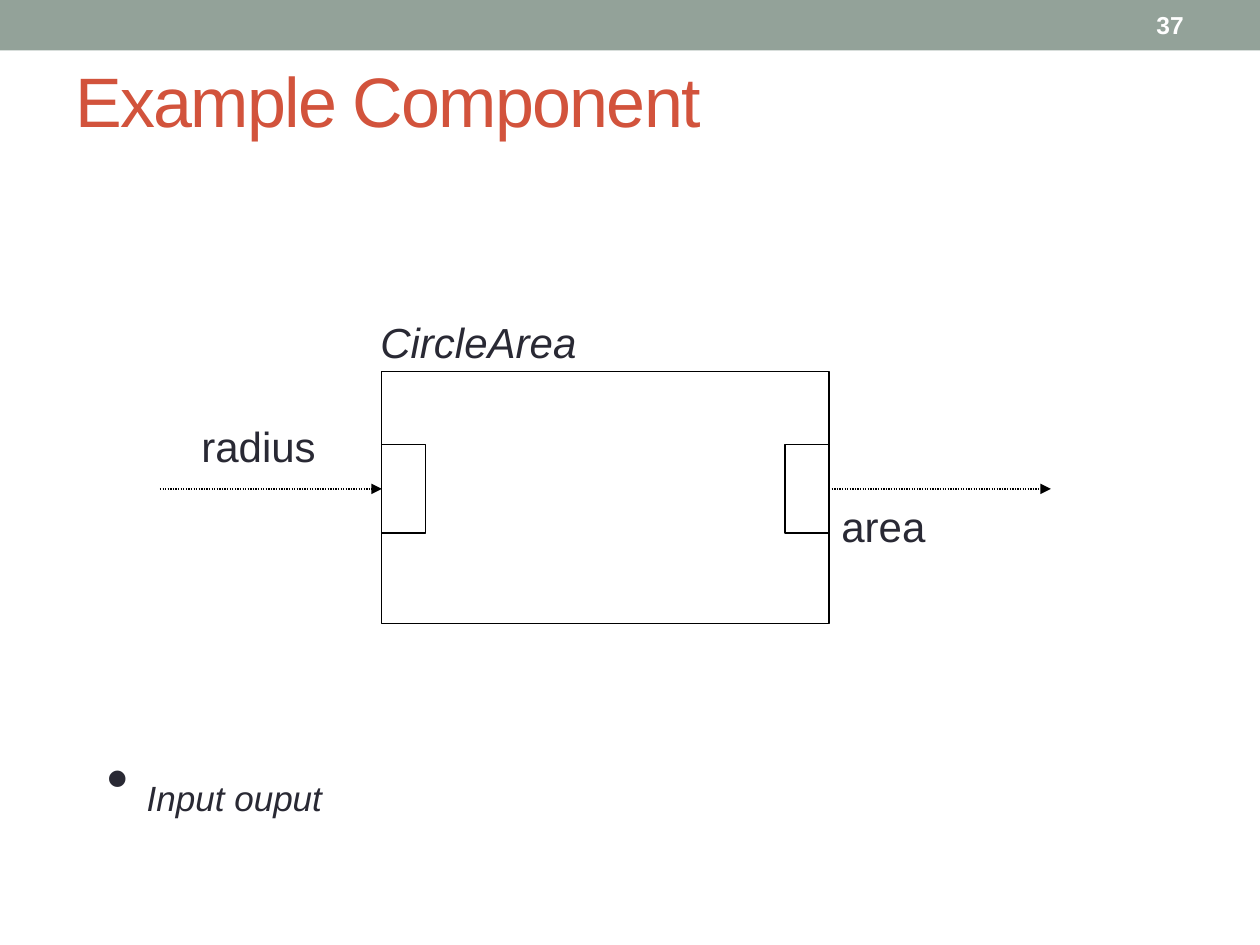
from pptx import Presentation
from pptx.dml.color import RGBColor
from pptx.enum.dml import MSO_LINE
from pptx.enum.shapes import MSO_CONNECTOR, MSO_SHAPE
from pptx.enum.text import MSO_ANCHOR
from pptx.oxml.ns import qn
from pptx.util import Inches, Pt
from lxml.etree import SubElement

THEME = {
    "font": "Arial",
    "band": "93A299", "title": "D2533C", "text": "292934",
    "white": "FFFFFF", "line": "000000",
    "title_size": 40, "bullet_size": 36, "label_size": 24,
    "item_size": 20, "number_size": 14, "line_width": 0.75,
}

TITLE = ("Example Component", (0.5, 0.33, 9, 0.92))
NUMBER = ("37", (9.08, 0.02, 0.58, 0.36))
BULLET = ("Input ouput", (0.75, 5.83, 8.67, 0.7))
LABELS = [
    ("CircleArea", (2.92, 2.42, 3.88, 0.5), True),
    ("radius", (1.5, 3.25, 1.44, 0.47), False),
    ("area", (6.58, 3.88, 1.5, 0.53), False),
]
BAND = (0, 0, 10, 0.4)
COMPONENT = (3.03, 2.95, 3.55, 2)
PORT_SIZE = (0.35, 0.7)
PORT_TOP = 3.53
ARROW_LENGTH = 1.76


def color(name):
    return RGBColor.from_string(THEME[name])


def add_rect(s, box, fill, line=None):
    sp = s.shapes.add_shape(MSO_SHAPE.RECTANGLE, *map(Inches, box))
    sp.shadow.inherit = False
    sp.fill.solid()
    sp.fill.fore_color.rgb = color(fill)
    if line:
        sp.line.color.rgb = color(line)
        sp.line.width = Pt(THEME["line_width"])
    else:
        sp.line.fill.background()
    return sp


def add_text(s, text, box, size, fill="text", bold=False, italic=False,
             anchor=MSO_ANCHOR.TOP, top=0.05):
    tf = s.shapes.add_textbox(*map(Inches, box)).text_frame
    tf.word_wrap = True
    tf.vertical_anchor = anchor
    tf.margin_top = Inches(top)
    p = tf.paragraphs[0]
    r = p.add_run()
    r.text = text
    font = p.font
    font.name, font.size = THEME["font"], Pt(THEME[size])
    font.bold, font.italic = bold, italic
    font.color.rgb = color(fill)
    return p


def add_arrow(s, x1, x2, y):
    line = s.shapes.add_connector(
        MSO_CONNECTOR.STRAIGHT, Inches(x1), Inches(y), Inches(x2), Inches(y))
    line.line.color.rgb = color("line")
    line.line.width = Pt(THEME["line_width"])
    line.line.dash_style = MSO_LINE.ROUND_DOT
    SubElement(line.line._get_or_add_ln(), qn("a:tailEnd"), type="triangle")
    SubElement(line._element.spPr, qn("a:effectLst"))
    return line


def add_bullet(s, text, box):
    p = add_text(s, " ", box, "bullet_size", italic=True, top=0.11)
    r = p.add_run()
    r.text = text
    r.font.size = Pt(THEME["item_size"])
    pPr = p._p.get_or_add_pPr()
    bullet = pPr.makeelement(qn("a:buChar"), {"char": "•"})
    pPr.insert(0, bullet)


def main():
    prs = Presentation()
    prs.slide_width, prs.slide_height = Inches(10), Inches(7.5)
    s = prs.slides.add_slide(prs.slide_layouts[6])

    add_rect(s, BAND, "band")
    p = add_text(s, *TITLE, "title_size", "title", anchor=MSO_ANCHOR.MIDDLE)
    p.runs[0]._r.get_or_add_rPr().set("spc", "-100")
    add_text(s, *NUMBER, "number_size", "white", bold=True,
             anchor=MSO_ANCHOR.MIDDLE)
    add_bullet(s, *BULLET)

    left, _, width, _ = COMPONENT
    right = left + width
    port_width, port_height = PORT_SIZE
    middle = PORT_TOP + port_height / 2
    add_rect(s, COMPONENT, "white", "line")
    in_port, out_port = [
        add_rect(s, (x, PORT_TOP, *PORT_SIZE), "white", "line")
        for x in (left, right - port_width)
    ]
    add_arrow(s, left - ARROW_LENGTH, left, middle).end_connect(in_port, 1)
    add_arrow(s, right, right + ARROW_LENGTH, middle).begin_connect(out_port, 3)

    for text, box, italic in LABELS:
        add_text(s, text, box, "label_size", italic=italic, top=0.09)

    prs.save("out.pptx")


if __name__ == "__main__":
    main()
